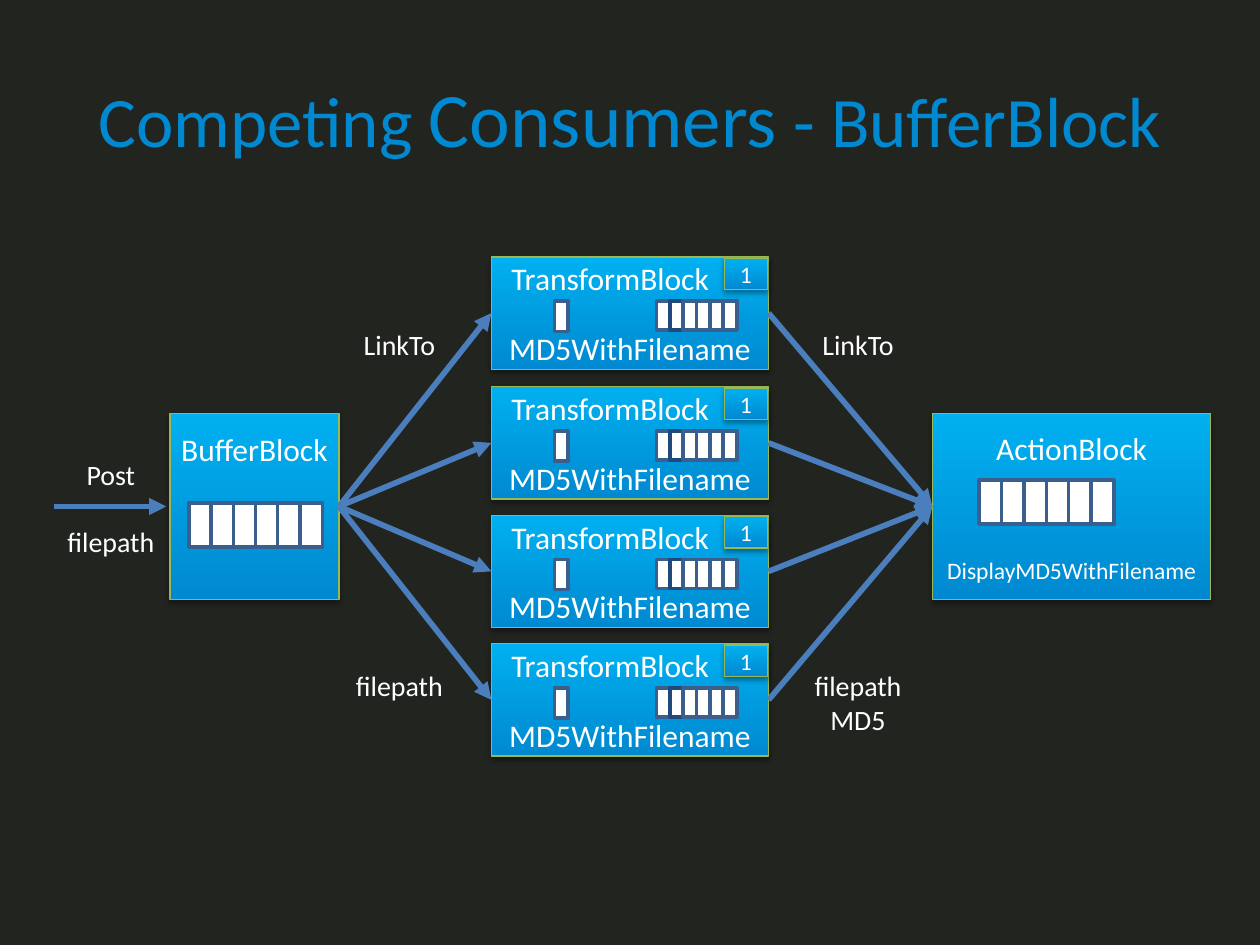
from dataclasses import dataclass

from lxml import etree
from pptx import Presentation
from pptx import util as u
from pptx.dml.color import RGBColor
from pptx.enum import shapes, text
from pptx.oxml import ns

BACKGROUND = RGBColor(0x22, 0x24, 0x20)
DEEP_BLUE = RGBColor(0x00, 0x89, 0xD0)
BRIGHT_BLUE = RGBColor(0x00, 0xB0, 0xF0)
GREEN = RGBColor(0x98, 0xB9, 0x55)
ARROW_BLUE = RGBColor(0x4B, 0x7E, 0xBC)
CELL_BORDER = RGBColor(0x3A, 0x5F, 0x8C)
DARK_BORDER = RGBColor(0x1F, 0x49, 0x7D)
WHITE = RGBColor(0xFF, 0xFF, 0xFF)
FONT = "Calibri"
CENTER = text.PP_ALIGN.CENTER
LEFT = text.PP_ALIGN.LEFT
MIDDLE = text.MSO_ANCHOR.MIDDLE
TOP = text.MSO_ANCHOR.TOP


@dataclass(frozen=True)
class Box:
    left: float
    top: float
    width: float
    height: float

    def lengths(self):
        return [u.Inches(n) for n in (self.left, self.top, self.width, self.height)]


@dataclass(frozen=True)
class Line:
    content: str
    size: float = 18
    before: float = 0
    align: text.PP_ALIGN = CENTER
    indent: float = 0


@dataclass(frozen=True)
class Queue:
    first: Box
    pitch: float
    count: int = 6
    dark_index: int = -1


def add_text(paragraph, content: str, *, size: float, color: RGBColor = WHITE) -> None:
    run = paragraph.add_run()
    run.text = content
    run.font.name = FONT
    run.font.size = u.Pt(size)
    run.font.color.rgb = color


def write_lines(frame, lines: list[Line]) -> None:
    for index, line in enumerate(lines):
        paragraph = frame.add_paragraph() if index else frame.paragraphs[0]
        paragraph.alignment = line.align
        if line.before:
            paragraph.space_before = u.Pt(line.before)
        if line.indent:
            paragraph._p.get_or_add_pPr().set("marL", str(u.Inches(line.indent)))
        add_text(paragraph, line.content, size=line.size)


def add_label(slide, box: Box, lines: list[Line]) -> None:
    frame = slide.shapes.add_textbox(*box.lengths()).text_frame
    frame.word_wrap = False
    frame.auto_size = text.MSO_AUTO_SIZE.SHAPE_TO_FIT_TEXT
    write_lines(frame, lines)


def add_rectangle(slide, box: Box, border: RGBColor, width: float):
    shape = slide.shapes.add_shape(shapes.MSO_SHAPE.RECTANGLE, *box.lengths())
    shape.shadow.inherit = False
    shape.line.color.rgb = border
    shape.line.width = u.Pt(width)
    return shape


def add_block(slide, box: Box, lines: list[Line], anchor=MIDDLE,
              side: float = 0.1, top: float = 0.05):
    shape = add_rectangle(slide, box, GREEN, 0.75)
    shape.fill.gradient()
    shape.fill.gradient_angle = 90
    for stop, color in zip(shape.fill.gradient_stops, (DEEP_BLUE, BRIGHT_BLUE)):
        stop.color.rgb = color
    effects = shape._element.spPr.find(ns.qn("a:effectLst"))
    shadow = etree.SubElement(effects, ns.qn("a:outerShdw"), blurRad=str(u.Pt(3.1)),
                              dist=str(u.Pt(1.8)), dir="5400000", rotWithShape="0")
    color = etree.SubElement(shadow, ns.qn("a:srgbClr"), val="000000")
    etree.SubElement(color, ns.qn("a:alpha"), val="35000")
    frame = shape.text_frame
    frame.word_wrap = True
    frame.vertical_anchor = anchor
    frame.margin_left = frame.margin_right = u.Inches(side)
    frame.margin_top = u.Inches(top)
    write_lines(frame, lines)
    return shape


def add_queue(slide, queue: Queue) -> None:
    first = queue.first
    for index in range(queue.count):
        box = Box(first.left + index * queue.pitch, first.top, first.width, first.height)
        border = DARK_BORDER if index == queue.dark_index else CELL_BORDER
        cell = add_rectangle(slide, box, border, 2)
        cell.fill.solid()
        cell.fill.fore_color.rgb = WHITE


def add_arrow(slide, start: tuple[float, float] = (0, 0), end: tuple[float, float] = (0, 0),
              source=None, target=None) -> None:
    points = [u.Inches(n) for n in (*start, *end)]
    connector = slide.shapes.add_connector(shapes.MSO_CONNECTOR.STRAIGHT, *points)
    if source is not None:
        connector.begin_connect(source, 3)
    if target is not None:
        connector.end_connect(target, 1)
    connector.line.color.rgb = ARROW_BLUE
    connector.line.width = u.Pt(3.25)
    properties = connector._element.spPr
    etree.SubElement(properties.find(ns.qn("a:ln")), ns.qn("a:tailEnd"), type="triangle")
    etree.SubElement(properties, ns.qn("a:effectLst"))


def add_title(slide) -> None:
    frame = slide.shapes.add_textbox(*Box(0.5, 0.3, 9, 1.25).lengths()).text_frame
    frame.word_wrap = True
    frame.vertical_anchor = MIDDLE
    paragraph = frame.paragraphs[0]
    paragraph.alignment = CENTER
    for content, size in (("Competing ", 40.5), ("Consumers", 44), (" - BufferBlock", 40.5)):
        add_text(paragraph, content, size=size, color=DEEP_BLUE)


def add_transform(slide, top: float):
    block = add_block(slide, Box(3.9, top, 2.2, 0.89), [
        Line("TransformBlock", align=LEFT, indent=0.06),
        Line("MD5WithFilename", before=18.3),
    ])
    add_queue(slide, Queue(Box(4.4, top + 0.35, 0.11, 0.24), 0, count=1))
    add_queue(slide, Queue(Box(5.21, top + 0.35, 0.11, 0.23), 0.53 / 5, dark_index=1))
    add_block(slide, Box(5.75, top + 0.01, 0.34, 0.25), [Line("1", 13.5)])
    return block


def main() -> None:
    presentation = Presentation()
    presentation.slide_width = u.Inches(10)
    presentation.slide_height = u.Inches(7.5)
    slide = presentation.slides.add_slide(presentation.slide_layouts[6])
    slide.background.fill.solid()
    slide.background.fill.fore_color.rgb = BACKGROUND

    add_title(slide)
    add_label(slide, Box(0.43, 3.58, 0.9, 0.91),
              [Line("Post", 16), Line("filepath", 16, before=19.5)])
    add_arrow(slide, (0.43, 4.02), (1.32, 4.02))

    buffer = add_block(slide, Box(1.35, 3.28, 1.34, 1.48), [Line("BufferBlock")],
                       anchor=TOP, side=0.08, top=0.13)
    add_queue(slide, Queue(Box(1.5, 3.99, 0.18, 0.35), 0.88 / 5))
    action = add_block(slide, Box(7.4, 3.28, 2.21, 1.48), [
        Line("ActionBlock"), Line("DisplayMD5WithFilename", 13.5, before=51.3)])
    add_queue(slide, Queue(Box(7.77, 3.81, 0.18, 0.35), 0.89 / 5))

    transforms = [add_transform(slide, top) for top in (2.04, 3.07, 4.09, 5.11)]
    for transform in transforms:
        add_arrow(slide, source=buffer, target=transform)
        add_arrow(slide, source=transform, target=action)

    link_lines = [Line("LinkTo", 16), Line("filepath", 16, before=175.8)]
    add_label(slide, Box(2.72, 2.55, 0.9, 3.06), link_lines)
    add_label(slide, Box(6.36, 2.55, 0.9, 3.33), [*link_lines, Line("MD5", 16)])
    presentation.save("out.pptx")


if __name__ == "__main__":
    main()
